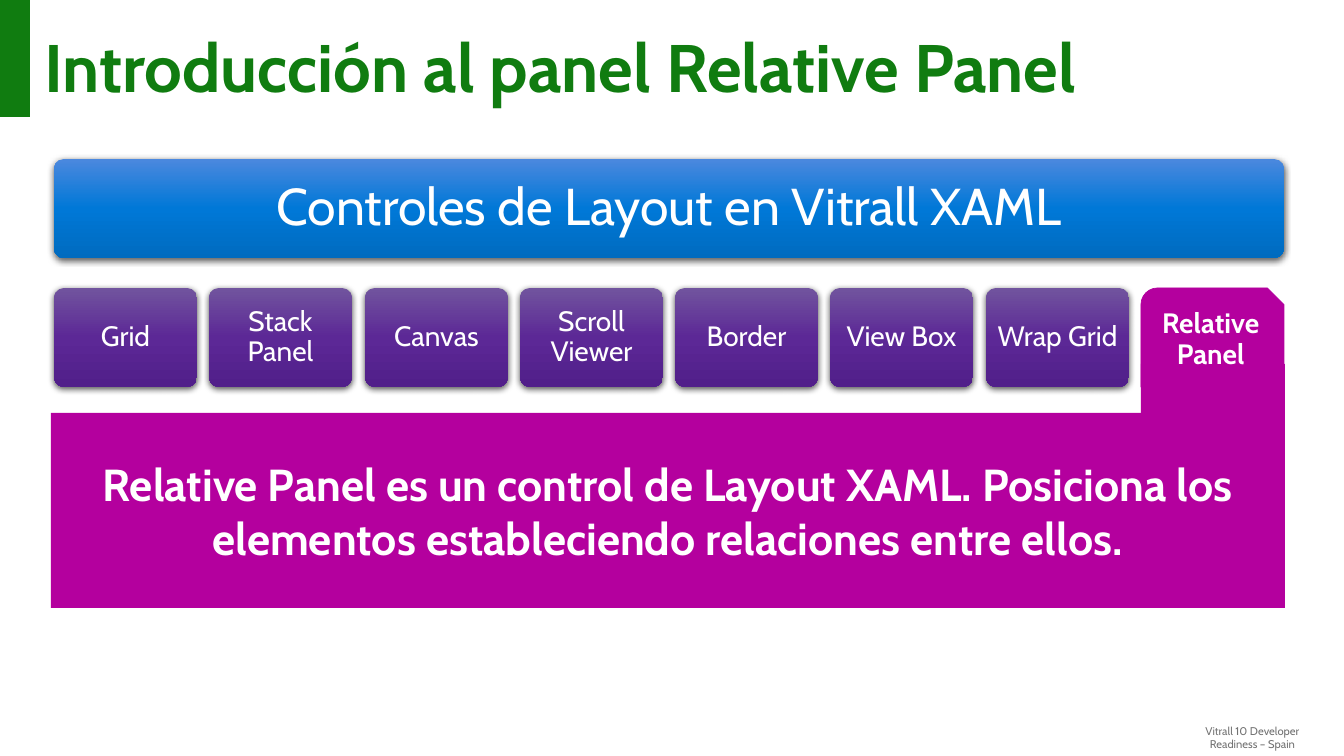
from copy import deepcopy

from pptx import Presentation
from pptx import util as u
from pptx.dml.color import RGBColor
from pptx.enum import shapes, text
from pptx.oxml import parse_xml
from pptx.oxml.ns import nsdecls, qn

PX = 914400 / 100.8
FONT = "Cabin"
COLORS = {"green": "107C10", "magenta": "B4009E", "white": "FFFFFF", "gray": "737373"}
BLUES = ("4B88DE", "0078D7", "006BBF")
PURPLES = ("71549E", "5C2896", "511F8A")
CONTROLS = ("Grid", "Stack Panel", "Canvas", "Scroll Viewer",
            "Border", "View Box", "Wrap Grid", "Relative Panel")
LEFT, WIDTH = 54, 1230
TILE_TOP, TILE_WIDTH, TILE_HEIGHT = 288, 143, 99

KIND = shapes.MSO_SHAPE
ALIGN = text.PP_ALIGN
ANCHOR = text.MSO_ANCHOR


def px(value):
    return u.Emu(round(value * PX))


def rgb(name):
    return RGBColor.from_string(COLORS[name])


def write(frame, lines, size, color="white", bold=False, align=ALIGN.CENTER,
          anchor=ANCHOR.MIDDLE, insets=(15, 12), spacing=1.0):
    """Fill a frame with one paragraph whose lines are split by breaks."""
    frame.word_wrap = True
    frame.auto_size = text.MSO_AUTO_SIZE.NONE
    frame.vertical_anchor = anchor
    frame.margin_left = frame.margin_right = px(insets[0])
    frame.margin_top = frame.margin_bottom = px(insets[1])
    paragraph = frame.paragraphs[0]
    paragraph.alignment = align
    paragraph.line_spacing = spacing
    for index, line in enumerate(lines):
        if index:
            paragraph.add_line_break()
        run = paragraph.add_run()
        run.text = line
        run.font.name = FONT
        run.font.size = u.Pt(size)
        run.font.bold = bold
        run.font.color.rgb = rgb(color)


def add_block(slide, box, color, kind=KIND.RECTANGLE):
    block = slide.shapes.add_shape(kind, *map(px, box))
    block.shadow.inherit = False
    block.fill.solid()
    block.fill.fore_color.rgb = rgb(color)
    block.line.fill.background()
    return block


def add_gradient_tile(slide, box, stops):
    tile = slide.shapes.add_shape(KIND.ROUNDED_RECTANGLE, *map(px, box))
    tile.adjustments[0] = 0.1
    tile.line.fill.background()

    # Three-stop vertical gradient
    tile.fill.gradient()
    tile.fill.gradient_angle = 270
    properties = tile._element.spPr
    stop_list = properties.find(".//" + qn("a:gsLst"))
    stop_list.append(deepcopy(stop_list[-1]))
    for stop, position, color in zip(tile.fill.gradient_stops, (0, 0.5, 1), stops):
        stop.position = position
        stop.color.rgb = RGBColor.from_string(color)

    # Soft shadow below the tile
    tile.shadow.inherit = False
    properties.find(qn("a:effectLst")).append(parse_xml(
        f'<a:outerShdw {nsdecls("a")} blurRad="57150" dist="19050" dir="5400000" '
        'algn="ctr" rotWithShape="0"><a:srgbClr val="000000">'
        '<a:alpha val="63000"/></a:srgbClr></a:outerShdw>'))
    return tile


def add_title(slide):
    title = slide.shapes.title
    title.left, title.top, title.width, title.height = map(px, (29, 22, 1284, 108))
    write(title.text_frame, ["Introducción al panel Relative Panel"], 48, "green",
          bold=True, align=ALIGN.LEFT, anchor=ANCHOR.TOP, spacing=0.9)


def add_footer(slide):
    footer = slide.shapes.add_textbox(*map(px, (1161, 719, 183, 33)))
    write(footer.text_frame, ["Vitrall 10 Developer", "Readiness – Spain"], 8, "gray",
          anchor=ANCHOR.TOP, insets=(10, 5))


def add_controls(slide):
    step = (WIDTH - TILE_WIDTH) / (len(CONTROLS) - 1)
    for index, control in enumerate(CONTROLS):
        box = (round(LEFT + index * step), TILE_TOP, TILE_WIDTH, TILE_HEIGHT)
        selected = control == CONTROLS[-1]
        if selected:
            tile = add_block(slide, box, "magenta", KIND.SNIP_ROUND_RECTANGLE)
            tile.line.color.rgb = rgb("magenta")
            tile.line.width = u.Pt(0.5)
        else:
            tile = add_gradient_tile(slide, box, PURPLES)
        write(tile.text_frame, [control], 20, bold=selected, insets=(8, 8), spacing=0.9)


def main():
    deck = Presentation()
    deck.slide_width, deck.slide_height = px(1344), px(756)
    slide = deck.slides.add_slide(deck.slide_layouts[5])

    # Heading and footer
    add_block(slide, (0, 0, 30, 117), "green")
    add_title(slide)
    add_footer(slide)

    # Description joined to the selected tab
    add_block(slide, (1141, 364, 144, 57), "magenta")
    description = add_block(slide, (51, 413, 1234, 195), "magenta")
    write(description.text_frame,
          ["Relative Panel es un control de Layout XAML. "
           "Posiciona los elementos estableciendo relaciones entre ellos."],
          32, bold=True)

    # Banner and row of controls
    banner = add_gradient_tile(slide, (LEFT, 159, WIDTH, 99), BLUES)
    write(banner.text_frame, ["Controles de Layout en Vitrall XAML"], 37,
          insets=(15, 15), spacing=0.9)
    add_controls(slide)

    deck.save("out.pptx")


if __name__ == "__main__":
    main()
